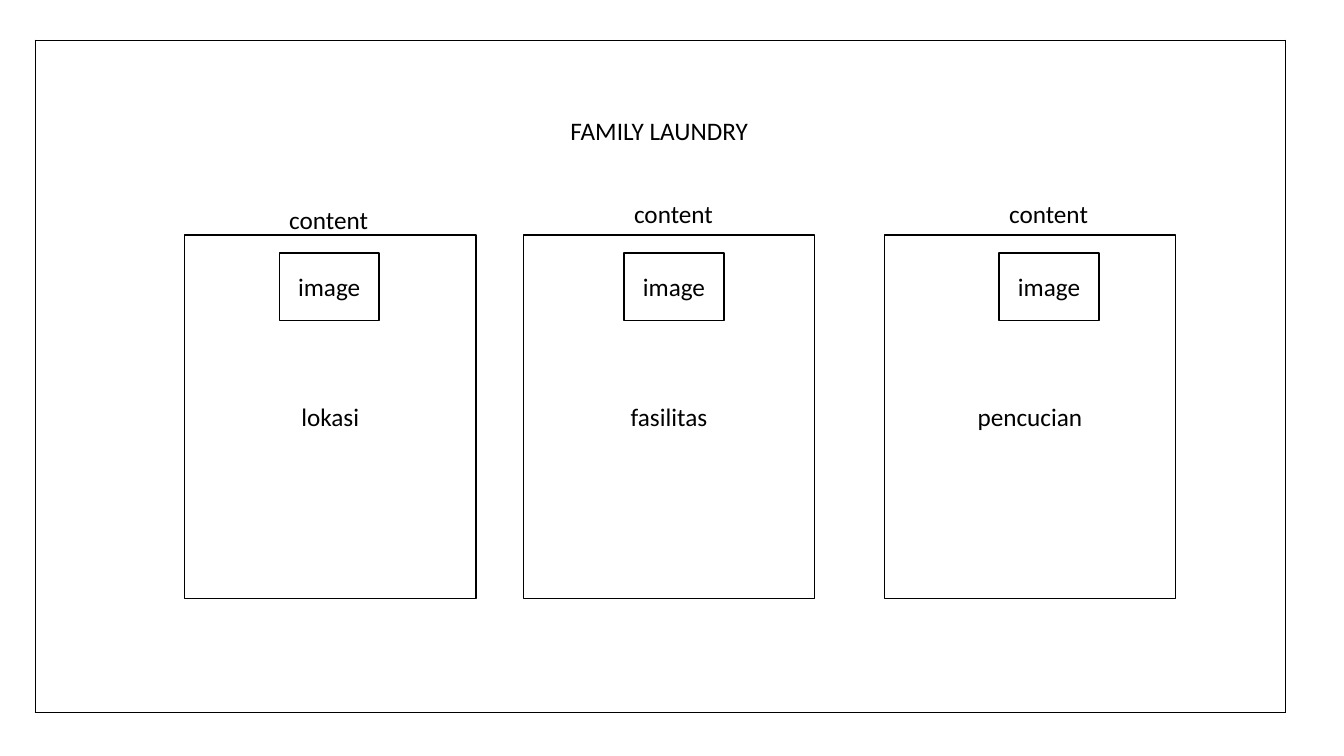
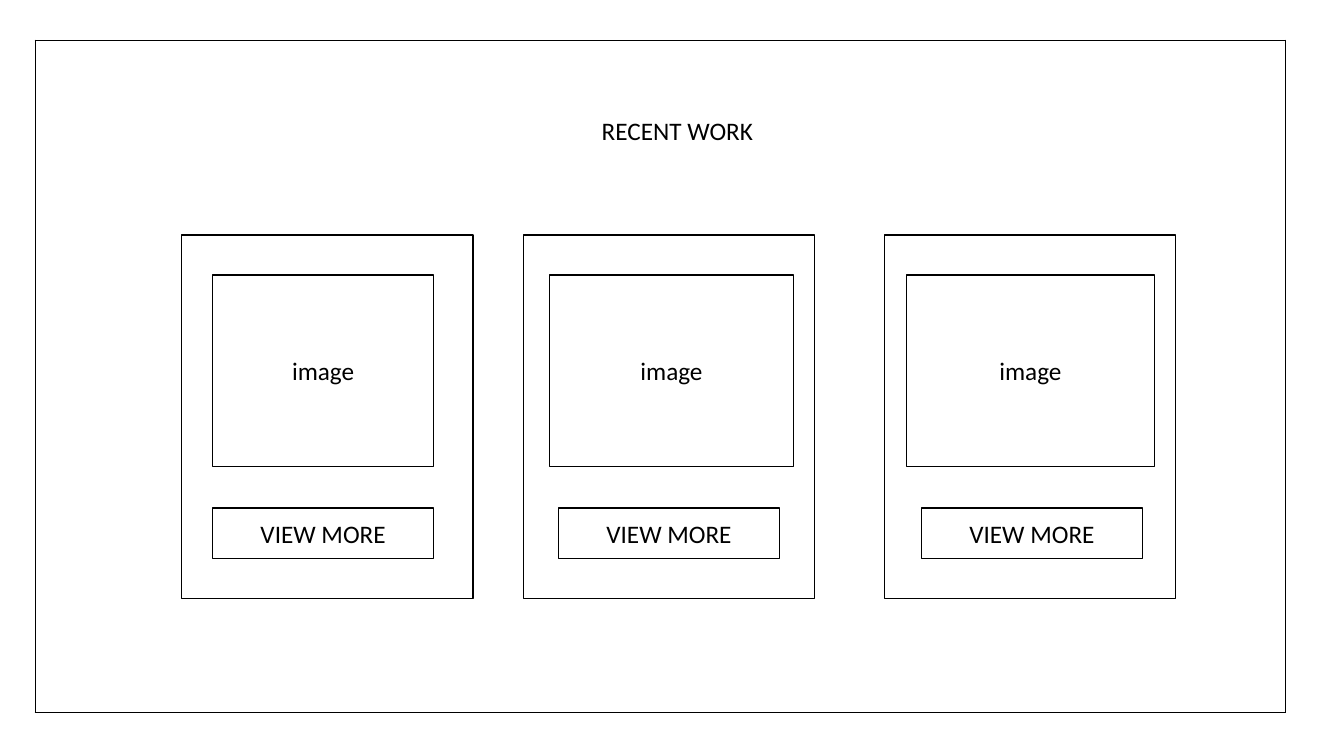
import pptx
import pptx.dml.color
import pptx.enum.shapes
import pptx.enum.text
import pptx.oxml
import pptx.oxml.ns
import pptx.util

Inches = pptx.util.Inches
BLACK = pptx.dml.color.RGBColor(0x00, 0x00, 0x00)
WHITE = pptx.dml.color.RGBColor(0xFF, 0xFF, 0xFF)
FONT = {"name": "Calibri", "size": pptx.util.Pt(18)}
LINE_WIDTH = pptx.util.Pt(1)
CENTER = pptx.enum.text.PP_ALIGN.CENTER
LEFT = pptx.enum.text.PP_ALIGN.LEFT


class Wireframe:
    """Holds the shared style and the current slide."""

    def __init__(self, presentation):
        self.presentation = presentation
        self.slide = None

    def page(self, title, left, width):
        """Start a slide with the page frame and its title."""
        layout = self.presentation.slide_layouts[6]
        self.slide = self.presentation.slides.add_slide(layout)
        self.frame(0.35, 0.4, 12.4, 6.67)
        self.label(title, left, 1.09, width, wrap=True)

    def frame(self, *box):
        """Draw a one-cell table with black borders."""
        table = self.slide.shapes.add_table(1, 1, *map(Inches, box)).table
        table.first_row = table.horz_banding = False
        cell = table.cell(0, 0)
        properties = cell._tc.get_or_add_tcPr()
        for side in ("lnL", "lnR", "lnT", "lnB"):
            properties.append(pptx.oxml.parse_xml(
                f'<a:{side} {pptx.oxml.ns.nsdecls("a")} w="{LINE_WIDTH}">'
                f'<a:solidFill><a:srgbClr val="{BLACK}"/></a:solidFill></a:{side}>'))
        cell.fill.background()

    def set_text(self, shape, text, alignment):
        """Put one styled line of text into a shape."""
        paragraph = shape.text_frame.paragraphs[0]
        paragraph.alignment = alignment
        run = paragraph.add_run()
        run.text = text
        for attribute, value in FONT.items():
            setattr(run.font, attribute, value)
        run.font.color.rgb = BLACK

    def label(self, text, left, top, width, wrap=False):
        """Add plain text."""
        shape = self.slide.shapes.add_textbox(*map(Inches, (left, top, width, 0.4)))
        shape.text_frame.word_wrap = wrap
        self.set_text(shape, text, LEFT)

    def box(self, left, top, width, height, text=None):
        """Add an outlined rectangle, with centred text if given."""
        shape = self.slide.shapes.add_shape(
            pptx.enum.shapes.MSO_SHAPE.RECTANGLE,
            *map(Inches, (left, top, width, height)))
        shape.shadow.inherit = False
        shape.fill.solid()
        shape.fill.fore_color.rgb = WHITE
        shape.line.color.rgb = BLACK
        shape.line.width = LINE_WIDTH
        if text:
            shape.text_frame.vertical_anchor = pptx.enum.text.MSO_ANCHOR.MIDDLE
            self.set_text(shape, text, CENTER)

    def card(self, left, text=None):
        """Add one of the tall content panels."""
        self.box(left, 2.33, 2.89, 3.61, text)


presentation = pptx.Presentation()
presentation.slide_width = Inches(13.33)
presentation.slide_height = Inches(7.5)
wireframe = Wireframe(presentation)

# Services: card left, card text, content left, content top
wireframe.page("FAMILY LAUNDRY", 5.56, 2.51)
for card_left, text, content_left, content_top in (
        (1.83, "lokasi", 2.77, 1.98),
        (5.19, "fasilitas", 6.19, 1.92),
        (8.77, "pencucian", 9.91, 1.92)):
    wireframe.card(card_left, text)
    wireframe.label("content", content_left, content_top, 0.99)
    wireframe.box(content_left, 2.51, 0.99, 0.67, "image")

# Recent work: card left, image left, image width, button left
wireframe.page("RECENT WORK", 5.87, 2.2)
for card_left, image_left, image_width, button_left in (
        (1.8, 2.11, 2.19, 2.11),
        (5.19, 5.45, 2.42, 5.54),
        (8.77, 8.99, 2.46, 9.14)):
    wireframe.card(card_left)
    wireframe.box(image_left, 2.73, image_width, 1.9, "image")
    wireframe.box(button_left, 5.04, 2.19, 0.5, "VIEW MORE")

presentation.save("out.pptx")
